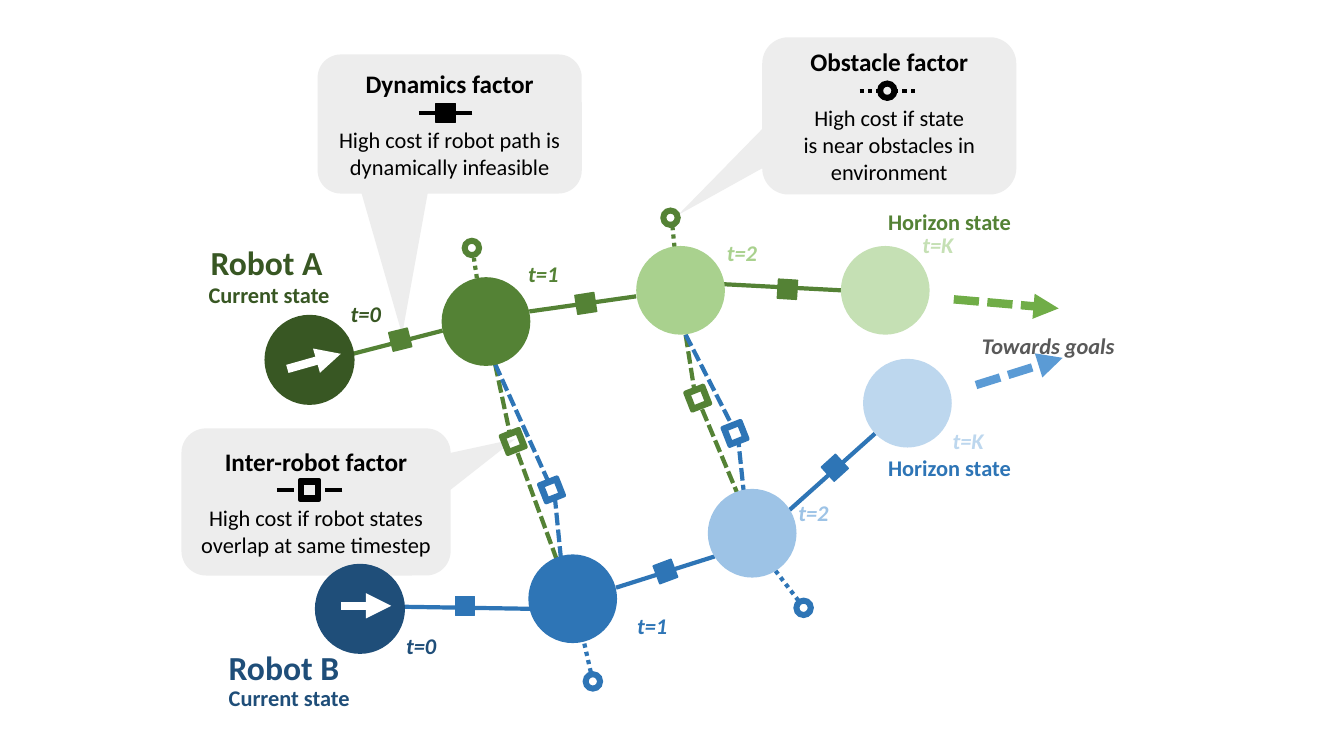
from dataclasses import dataclass

from lxml.etree import SubElement
from pptx import Presentation
from pptx.dml.color import RGBColor
from pptx.enum.dml import MSO_LINE
from pptx.enum.shapes import MSO_CONNECTOR, MSO_SHAPE
from pptx.enum.text import MSO_ANCHOR, PP_ALIGN
from pptx.oxml.ns import qn
from pptx.util import Inches, Pt


@dataclass(frozen=True)
class Theme:
    font: str = "Calibri"
    black: str = "000000"
    white: str = "FFFFFF"
    callout: str = "EDEDED"
    grey: str = "595959"
    # Current state, t=1, t=2, horizon
    greens: tuple = ("385723", "548235", "A9D18E", "C5E0B4")
    blues: tuple = ("1F4E79", "2E75B6", "9DC3E6", "BDD7EE")
    green_goal: str = "70AD47"
    blue_goal: str = "5B9BD5"
    name_size: int = 24
    title_size: int = 18
    body_size: int = 16
    line: int = 3
    arrow: int = 6


THEME = Theme()
FACTOR = 0.19
STATE = 0.88
TIMES = ("t=0", "t=1", "t=2", "t=K")
DASH, SHORT_DASH, DOT = MSO_LINE.DASH, MSO_LINE.SQUARE_DOT, MSO_LINE.ROUND_DOT


# Basic parts
def rgb(color):
    return RGBColor.from_string(color)


def style(run, color, **formats):
    run.font.color.rgb = rgb(color)
    values = {"name": THEME.font, "size": Pt(THEME.body_size), **formats}
    for name, value in values.items():
        setattr(run.font, name, value)


def draw_shape(slide, kind, box, color, outline=0, angle=0):
    shape = slide.shapes.add_shape(kind, *map(Inches, box))
    shape.shadow.inherit = False
    shape.rotation = angle
    shape.fill.solid()
    shape.fill.fore_color.rgb = rgb(color)
    if outline:
        shape.line.color.rgb = rgb(color)
        shape.line.width = Pt(outline)
    else:
        shape.line.fill.background()
    return shape


def draw_factor(slide, kind, center, color, angle=0, outline=1):
    x, y = center
    box = (x - FACTOR / 2, y - FACTOR / 2, FACTOR, FACTOR)
    draw_shape(slide, kind, box, color, outline, angle)


def draw_line(slide, start, end, color, dash=None, width=THEME.line, arrow=False):
    line = slide.shapes.add_connector(
        MSO_CONNECTOR.STRAIGHT, *map(Inches, (*start, *end)))
    line.line.color.rgb = rgb(color)
    line.line.width = Pt(width)
    if dash:
        line.line.dash_style = dash
    if arrow:
        SubElement(line.line._get_or_add_ln(), qn("a:tailEnd"), type="triangle")
    SubElement(line._element.spPr, qn("a:effectLst"))


def draw_label(slide, words, box, color, **formats):
    label = slide.shapes.add_textbox(*map(Inches, box)).text_frame
    label.word_wrap = box[2] > 1.5
    run = label.paragraphs[0].add_run()
    run.text = words
    style(run, color, bold=True, **formats)


# Callout with its legend symbol
def draw_callout(slide, box, pointer, title, description, symbol):
    left, top, _, _ = box
    callout = draw_shape(
        slide, MSO_SHAPE.ROUNDED_RECTANGULAR_CALLOUT, box, THEME.callout)
    callout.adjustments[0], callout.adjustments[1] = pointer
    frame = callout.text_frame
    frame.word_wrap = True
    frame.vertical_anchor = MSO_ANCHOR.MIDDLE
    heading, body = frame.paragraphs[0], frame.add_paragraph()
    heading.text, body.text = title, description
    body.space_before = Pt(19.5)
    for paragraph, size, bold in ((heading, THEME.title_size, True),
                                  (body, THEME.body_size, False)):
        paragraph.alignment = PP_ALIGN.CENTER
        for run in paragraph.runs:
            style(run, THEME.black, size=Pt(size), bold=bold)

    x, y = left + symbol["at"][0], top + symbol["at"][1]
    for side in (-1, 1):
        inner = x + side * FACTOR / 2
        draw_line(slide, (inner + side * symbol["wing"], y), (inner, y),
                  THEME.black, symbol["dash"])
    draw_factor(slide, symbol["kind"], (x, y), THEME.black,
                outline=symbol["outline"])


# Two factors joining the robots at one timestep
def draw_inter_robot(slide, box, green_at, blue_at):
    left, top, width, height = box
    edge_x, edge_y = 0.035, 0.09
    for color, (dx, dy) in ((THEME.greens[1], green_at), (THEME.blues[1], blue_at)):
        x, y = left + dx, top + dy
        draw_line(slide, (left, top), (x - edge_x, y - edge_y), color, SHORT_DASH)
        draw_line(slide, (left + width, top + height), (x + edge_x, y + edge_y),
                  color, SHORT_DASH)
        draw_factor(slide, MSO_SHAPE.FRAME, (x, y), color, -21.4, THEME.line)


# One robot: path, states, obstacles, heading, goal and labels
def draw_robot(slide, box, robot):
    left, top = box[:2]
    colors = robot["colors"]

    def place(point):
        return left + point[0], top + point[1]

    for start, end, center, angle in robot["links"]:
        draw_line(slide, place(start), place(end), colors[1])
        draw_factor(slide, MSO_SHAPE.RECTANGLE, place(center), colors[1], angle)
    for start, end, center in robot["obstacles"]:
        draw_line(slide, place(start), place(end), colors[1], DOT)
        draw_factor(slide, MSO_SHAPE.DONUT, place(center), colors[1])
    for index, (corner, color) in enumerate(zip(robot["states"], colors)):
        draw_shape(slide, MSO_SHAPE.OVAL, (*place(corner), STATE, STATE), color,
                   outline=1 if index == 0 else 0)
    start, end = robot["heading"]
    draw_line(slide, place(start), place(end), THEME.white,
              width=THEME.arrow, arrow=True)
    start, end = robot["goal"]
    draw_line(slide, place(start), place(end), robot["goal_color"], SHORT_DASH,
              THEME.arrow, True)
    for words, corner, color in zip(TIMES, robot["times"], colors):
        draw_label(slide, words, (*place(corner), 0.51, 0.37), color, italic=True)
    draw_label(slide, robot["name"], (*place(robot["name_at"]), 1.97, 0.7),
               colors[0], size=Pt(THEME.name_size))
    draw_label(slide, "Current state", (*place(robot["current_at"]), 1.95, 0.51),
               colors[0])
    draw_label(slide, "Horizon state", (*place(robot["horizon_at"]), 1.98, 0.51),
               colors[1])


ROBOT_A = {
    "name": "Robot A", "colors": THEME.greens, "goal_color": THEME.green_goal,
    "states": [(0.63, 1.13), (2.38, 0.75), (4.31, 0.44), (6.34, 0.44)],
    "links": [((1.5, 1.51), (2.39, 1.28), (1.97, 1.37), -13.8),
              ((3.25, 1.09), (4.31, 0.94), (3.81, 1.01), -8.8),
              ((5.18, 0.82), (6.34, 0.88), (5.81, 0.87), 3.6)],
    "obstacles": [((2.73, 0.76), (2.7, 0.56), (2.68, 0.46)),
                  ((4.69, 0.45), (4.67, 0.25), (4.65, 0.16))],
    "heading": ((0.85, 1.66), (1.38, 1.51)), "goal": ((7.46, 0.97), (8.5, 1.06)),
    "times": [(1.38, 0.93), (3.14, 0.53), (5.11, 0.32), (7.05, 0.24)],
    "name_at": (-0.01, 0.35), "current_at": (-0.03, 0.74), "horizon_at": (6.71, 0.02),
}
ROBOT_B = {
    "name": "Robot B", "colors": THEME.blues, "goal_color": THEME.blue_goal,
    "states": [(1.13, 2.1), (3.24, 2), (5.02, 1.35), (6.56, 0.06)],
    "links": [((3.26, 2.54), (2.01, 2.52), (2.61, 2.51), 0),
              ((5.09, 2.02), (4.11, 2.33), (4.6, 2.17), -20.5),
              ((6.68, 0.8), (5.83, 1.56), (6.28, 1.14), -42.3)],
    "obstacles": [((3.86, 3.17), (3.79, 2.86), (3.88, 3.26)),
                  ((5.92, 2.46), (5.69, 2.16), (5.97, 2.53))],
    "heading": ((1.38, 2.51), (1.88, 2.51)), "goal": ((7.68, 0.32), (8.54, 0.05)),
    "times": [(1.93, 2.72), (4.22, 2.52), (5.82, 1.4), (7.35, 0.69)],
    "name_at": (0.17, 2.87), "current_at": (0.17, 3.24), "horizon_at": (6.71, 0.96),
}
CALLOUTS = [
    ((3.15, 0.54, 2.62, 1.38), (-0.18, 1.513), "Dynamics factor",
     "High cost if robot path is dynamically infeasible",
     {"kind": MSO_SHAPE.RECTANGLE, "at": (1.27, 0.58), "wing": 0.17,
      "dash": None, "outline": 1}),
    ((1.8, 4.25, 2.67, 1.46), (0.74, -0.428), "Inter-robot factor",
     "High cost if robot states overlap at same timestep",
     {"kind": MSO_SHAPE.FRAME, "at": (1.27, 0.61), "wing": 0.23,
      "dash": DASH, "outline": 3}),
    ((7.56, 0.37, 2.52, 1.56), (-0.831, 0.63), "Obstacle factor",
     "High cost if state\nis near obstacles in environment",
     {"kind": MSO_SHAPE.DONUT, "at": (1.24, 0.53), "wing": 0.18,
      "dash": DOT, "outline": 1}),
]


def main():
    deck = Presentation()
    deck.slide_width, deck.slide_height = Inches(13.33), Inches(7.5)
    slide = deck.slides.add_slide(deck.slide_layouts[6])
    for callout in CALLOUTS:
        draw_callout(slide, *callout)
    draw_inter_robot(slide, (4.91, 3.61, 0.67, 2.1), (0.18, 0.77), (0.56, 1.25))
    draw_inter_robot(slide, (6.8, 3.32, 0.6, 1.78), (0.12, 0.63), (0.49, 0.98))
    draw_robot(slide, (2, 2, 8.5, 2.1), ROBOT_A)
    draw_robot(slide, (2, 3.5, 8.5, 4), ROBOT_B)
    draw_label(slide, "Towards goals", (9.64, 3.25, 2.12, 0.51), THEME.grey,
               italic=True)
    deck.save("out.pptx")


if __name__ == "__main__":
    main()
